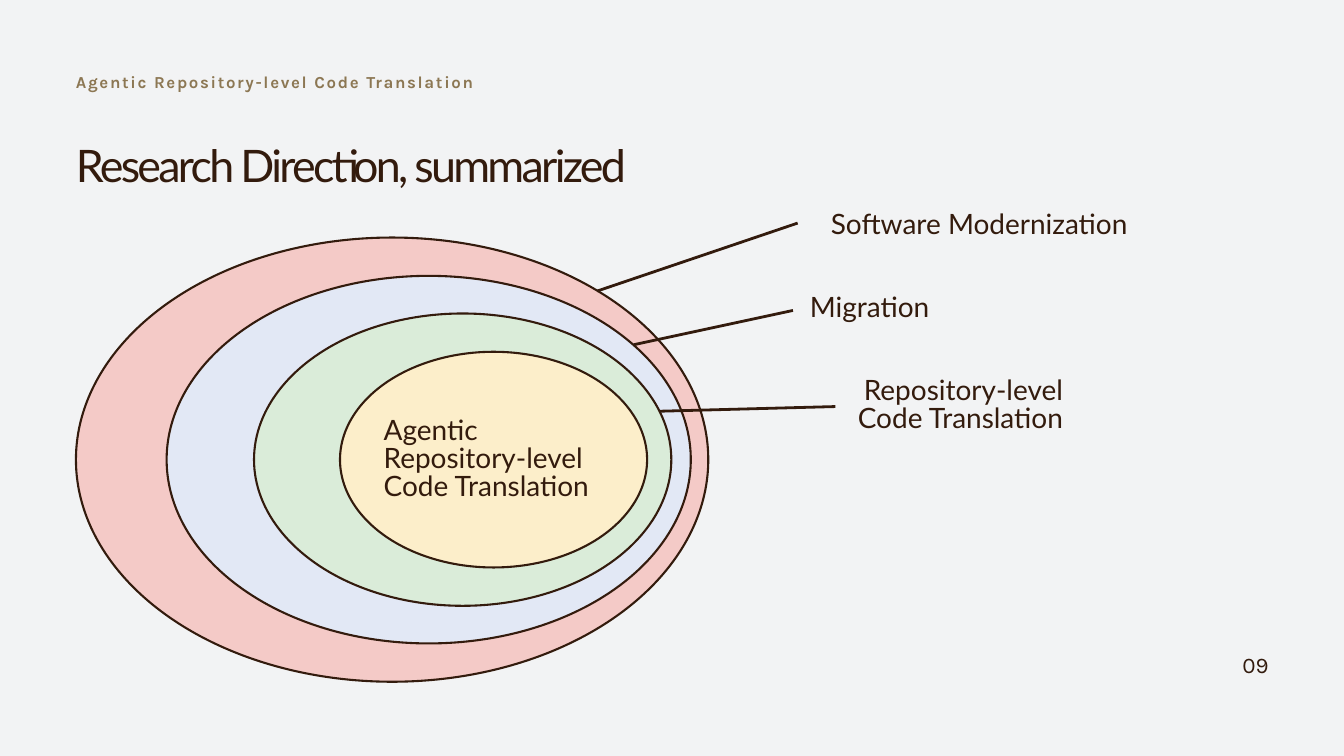
from lxml import etree
from pptx import Presentation
from pptx.dml.color import RGBColor
from pptx.enum.shapes import MSO_CONNECTOR, MSO_SHAPE
from pptx.enum.text import MSO_ANCHOR, MSO_AUTO_SIZE, PP_ALIGN
from pptx.oxml.ns import qn
from pptx.util import Inches, Pt

OVAL, LINE = MSO_SHAPE.OVAL, MSO_CONNECTOR.STRAIGHT
LEFT, RIGHT, FULL = PP_ALIGN.LEFT, PP_ALIGN.RIGHT, PP_ALIGN.JUSTIFY
TOP, FIXED = MSO_ANCHOR.TOP, MSO_AUTO_SIZE.NONE

PAPER = RGBColor(0xF2, 0xF3, 0xF4)
BROWN = RGBColor(0x33, 0x1B, 0x0D)
TAN = RGBColor(0x8C, 0x77, 0x53)
PINK = RGBColor(0xF4, 0xCA, 0xC7)
BLUE = RGBColor(0xE2, 0xE8, 0xF5)
GREEN = RGBColor(0xDA, 0xEC, 0xD9)
CREAM = RGBColor(0xFC, 0xEE, 0xCA)

MARGIN = 1.13
MIDDLE = 6.84

prs = Presentation()
prs.slide_width, prs.slide_height = Inches(20), Inches(11.25)
slide = prs.slides.add_slide(prs.slide_layouts[5])
slide.background.fill.solid()
slide.background.fill.fore_color.rgb = PAPER


def write(box, lines, size=30, font="Lato", color=BROWN, align=LEFT,
          bold=False, track=0):
    """Fill a box with (text, line spacing in points) pairs."""
    frame = box.text_frame
    frame.word_wrap = True
    frame.auto_size = FIXED
    frame.vertical_anchor = TOP
    frame.margin_left = frame.margin_right = 0
    frame.margin_top = frame.margin_bottom = 0
    for i, (text, space) in enumerate(lines):
        para = frame.add_paragraph() if i else frame.paragraphs[0]
        para.alignment = align
        para.line_spacing = Pt(space)
        run = para.add_run()
        run.text = text
        run.font.size, run.font.name = Pt(size), font
        run.font.bold = bold
        run.font.color.rgb = color
        if track:
            run._r.get_or_add_rPr().set("spc", str(round(track * 100)))


def add_text(left, top, width, height, lines, **style):
    box = slide.shapes.add_textbox(Inches(left), Inches(top),
                                   Inches(width), Inches(height))
    write(box, lines, **style)


# Title
title = slide.shapes.title
title.left, title.top = Inches(MARGIN), Inches(2.18)
title.width, title.height = Inches(17.75), Inches(0.7)
write(title, [("Research Direction, summarized", 48)], size=48, track=-2.9)

# Nested ovals, all centred on one height
for left, width, height, color in [
    (MARGIN, 9.41, 6.61, PINK),
    (2.48, 7.8, 5.47, BLUE),
    (3.78, 6.21, 4.35, GREEN),
    (5.06, 4.57, 3.21, CREAM),
]:
    oval = slide.shapes.add_shape(OVAL, Inches(left), Inches(MIDDLE - height / 2),
                                  Inches(width), Inches(height))
    oval.shadow.inherit = False
    oval.fill.solid()
    oval.fill.fore_color.rgb = color
    oval.line.color.rgb = BROWN
    oval.line.width = Pt(2.25)

# Lines from ovals to labels
for x1, y1, x2, y2 in [
    (8.89, 4.33, 11.87, 3.32),
    (9.43, 5.13, 11.8, 4.62),
    (9.81, 6.12, 12.43, 6.05),
]:
    line = slide.shapes.add_connector(LINE, Inches(x1), Inches(y1),
                                      Inches(x2), Inches(y2))
    line.line.color.rgb = BROWN
    line.line.width = Pt(3)
    etree.SubElement(line._element.spPr, qn("a:effectLst"))

# Oval labels
add_text(11.9, 2.9, 4.88, 0.64, [("Software Modernization", 48)], align=RIGHT)
add_text(11.9, 4.14, 1.93, 0.64, [("Migration", 48)], align=RIGHT)
add_text(12.41, 5.38, 3.41, 1.18,
         [("Repository-level", 48), ("Code Translation", 30)], align=RIGHT)
add_text(5.71, 6.22, 3.66, 1.28,
         [("Agentic", 30), ("Repository-level", 30), ("Code Translation", 30)])

# Running header and page number
add_text(MARGIN, 1.11, 8.88, 0.31,
         [("Agentic Repository-level Code Translation", 18)], size=18,
         font="Karla", color=TAN, align=FULL, bold=True, track=1.79)
add_text(13.89, 9.63, 4.99, 0.5, [("09", 33.6)], size=24, font="Karla",
         align=RIGHT)

prs.save("out.pptx")
